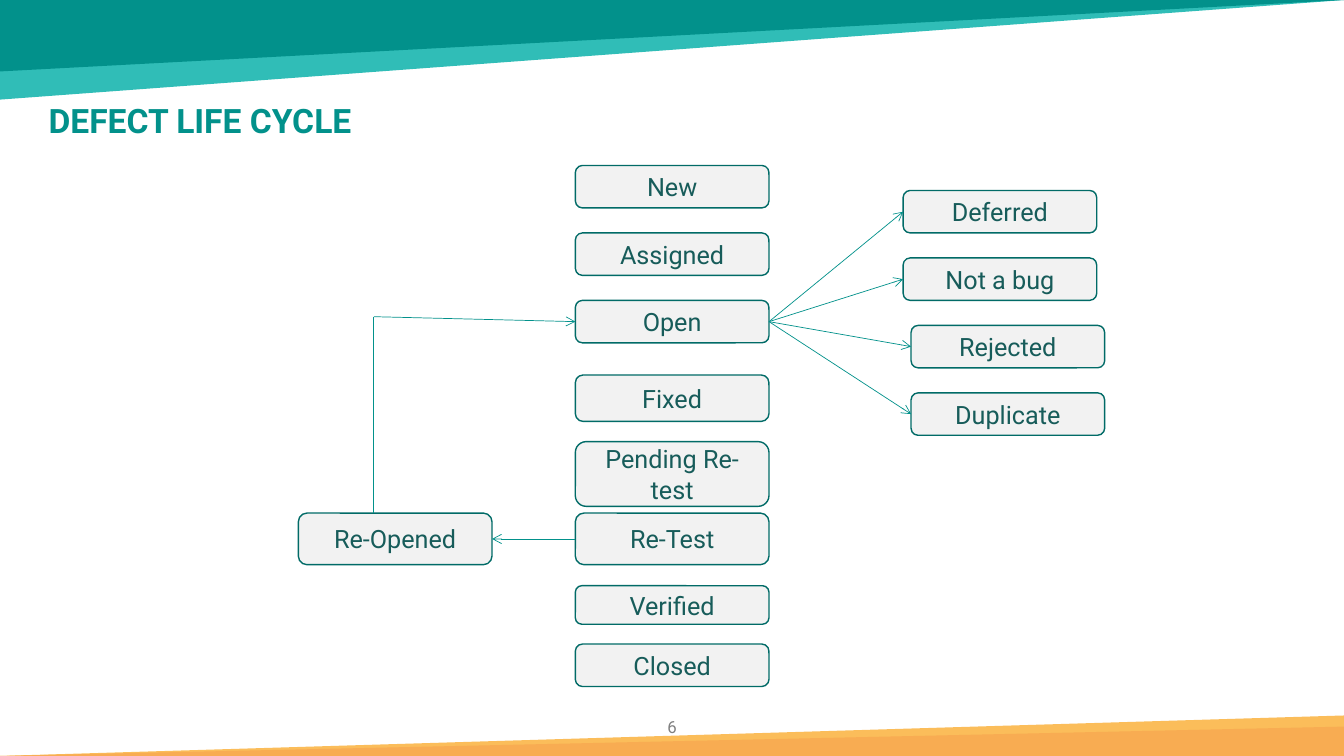
from dataclasses import dataclass
from typing import Optional

from lxml.etree import SubElement
from pptx import Presentation
from pptx.dml.color import RGBColor
from pptx.enum.shapes import MSO_CONNECTOR as CONN, MSO_SHAPE as SHAPE
from pptx.enum.text import MSO_ANCHOR as ANCHOR, MSO_AUTO_SIZE as AUTO, PP_ALIGN as ALIGN
from pptx.oxml.ns import qn
from pptx.util import Cm, Pt

WIDTH, HEIGHT = 33.87, 19.05
TEAL = "02918B"
BOX_WIDTH, BOX_HEIGHT, STEP = 4.88, 1.07, 1.7
MAIN_LEFT, REOPENED_LEFT = 14.5, 7.52
LEFT_SIDE, RIGHT_SIDE = 1, 3


@dataclass
class Band:
    height: float
    color: str
    top: bool


@dataclass
class State:
    name: str
    left: float
    top: float
    height: float = BOX_HEIGHT


BANDS = [
    Band(2.51, "30BDB7", True),
    Band(1.8, TEAL, True),
    Band(1.02, "FBBD5A", False),
    Band(0.74, "F8AC52", False),
]
OUTCOMES = [
    State(name, left, 4.8 + i * STEP)
    for i, (name, left) in enumerate(
        [("Deferred", 22.76), ("Not a bug", 22.76), ("Rejected", 22.96), ("Duplicate", 22.96)]
    )
]
STATES = [
    *[State(name, MAIN_LEFT, 4.17 + i * STEP) for i, name in enumerate(["New", "Assigned", "Open"])],
    State("Fixed", MAIN_LEFT, 9.45, 1.17),
    State("Pending Re-test", MAIN_LEFT, 11.13, 1.63),
    State("Re-Test", MAIN_LEFT, 12.93, 1.3),
    State("Verified", MAIN_LEFT, 14.76, 0.97),
    State("Closed", MAIN_LEFT, 16.23),
    *OUTCOMES,
    State("Re-Opened", REOPENED_LEFT, 12.93, 1.3),
]


def rgb(value: str) -> RGBColor:
    return RGBColor.from_string(value)


def write(tf, text: str, size: float, color: str, align=ALIGN.CENTER, bold=False) -> None:
    tf.word_wrap = True
    p = tf.paragraphs[0]
    p.alignment = align
    r = p.add_run()
    r.text = text
    r.font.color.rgb = rgb(color)
    for key, value in {"name": "Roboto", "size": Pt(size), "bold": bold}.items():
        setattr(r.font, key, value)


def add_band(slide, band: Band) -> None:
    top = 0 if band.top else HEIGHT - band.height
    sp = slide.shapes.add_shape(SHAPE.RIGHT_TRIANGLE, 0, Cm(top), Cm(WIDTH), Cm(band.height))
    sp.shadow.inherit = False
    sp.fill.solid()
    sp.fill.fore_color.rgb = rgb(band.color)
    sp.line.fill.background()
    sp.rotation = 180 if band.top else 0
    sp._element.spPr.find(qn("a:xfrm")).set("flipH", "1")


def add_state(slide, state: State):
    sp = slide.shapes.add_shape(
        SHAPE.ROUNDED_RECTANGLE, Cm(state.left), Cm(state.top), Cm(BOX_WIDTH), Cm(state.height)
    )
    sp.shadow.inherit = False
    sp.fill.solid()
    sp.fill.fore_color.rgb = rgb("F2F2F2")
    sp.line.color.rgb = rgb("016B67")
    sp.line.width = Pt(1)
    sp.text_frame.vertical_anchor = ANCHOR.MIDDLE
    write(sp.text_frame, state.name, 18, "175C5A")
    return sp


def add_line(slide, start=(0, 0), end=(0, 0), source: Optional[tuple] = None,
             target: Optional[tuple] = None, arrow: bool = True) -> None:
    line = slide.shapes.add_connector(CONN.STRAIGHT, *map(Cm, start + end))
    if source:
        line.begin_connect(*source)
    if target:
        line.end_connect(*target)
    line.line.color.rgb = rgb(TEAL)
    line.line.width = Pt(0.5)
    if arrow:
        SubElement(line.line._get_or_add_ln(), qn("a:tailEnd"), type="arrow")
    SubElement(line._element.spPr, qn("a:effectLst"))


def main() -> None:
    prs = Presentation()
    prs.slide_width, prs.slide_height = Cm(WIDTH), Cm(HEIGHT)
    slide = prs.slides.add_slide(prs.slide_layouts[5])

    for band in BANDS:
        add_band(slide, band)

    number = slide.shapes.add_textbox(Cm(16.1), Cm(17.93), Cm(1.68), Cm(0.76))
    write(number.text_frame, "6", 12, "808080")

    title = slide.shapes.title
    places = {"left": 0.97, "top": 2.57, "width": 22.33, "height": 1.02}
    for key, value in places.items():
        setattr(title, key, Cm(value))
    tf = title.text_frame
    for key, value in {"auto_size": AUTO.NONE, "vertical_anchor": ANCHOR.MIDDLE}.items():
        setattr(tf, key, value)
    write(tf, "DEFECT LIFE CYCLE", 24, TEAL, ALIGN.LEFT, True)
    tf.paragraphs[0].line_spacing = 0.9

    boxes = {state.name: add_state(slide, state) for state in STATES}
    for outcome in OUTCOMES:
        add_line(slide, source=(boxes["Open"], RIGHT_SIDE), target=(boxes[outcome.name], LEFT_SIDE))
    add_line(slide, source=(boxes["Re-Test"], LEFT_SIDE), target=(boxes["Re-Opened"], RIGHT_SIDE))
    corner = (9.42, 7.98)
    add_line(slide, start=(9.42, 12.93), end=corner, arrow=False)
    add_line(slide, start=corner, target=(boxes["Open"], LEFT_SIDE))

    prs.save("out.pptx")


if __name__ == "__main__":
    main()
